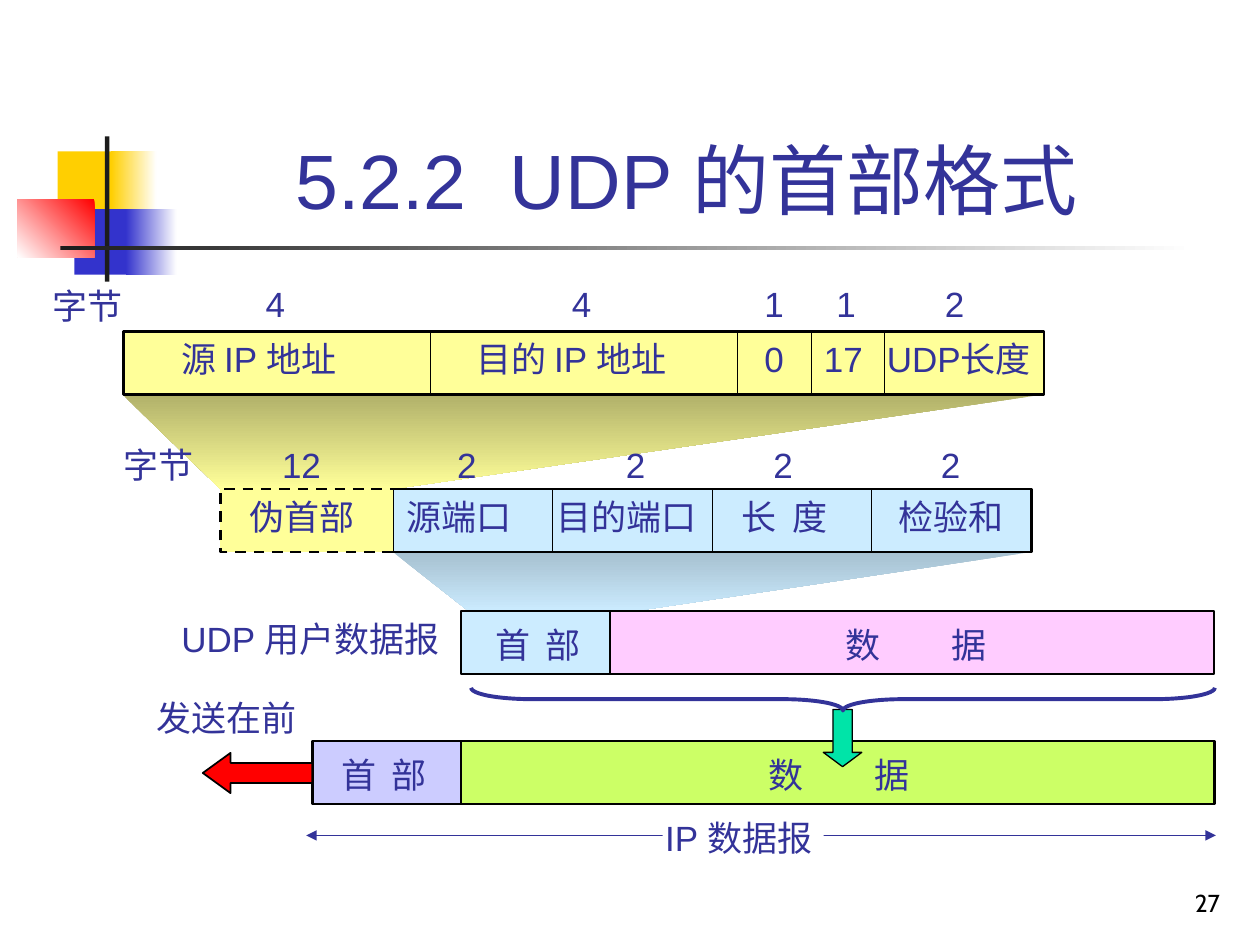
from dataclasses import dataclass
from typing import Optional

from lxml import etree
from pptx import Presentation
from pptx.dml.color import RGBColor
from pptx.enum.dml import MSO_LINE
from pptx.enum.shapes import MSO_CONNECTOR, MSO_SHAPE
from pptx.enum.text import MSO_ANCHOR, MSO_AUTO_SIZE, PP_ALIGN
from pptx.oxml.ns import qn
from pptx.util import Pt

RECT = MSO_SHAPE.RECTANGLE
LEFT_ARROW, DOWN_ARROW = MSO_SHAPE.LEFT_ARROW, MSO_SHAPE.DOWN_ARROW
BRACE = MSO_SHAPE.LEFT_BRACE
STRAIGHT = MSO_CONNECTOR.STRAIGHT
DASH = MSO_LINE.DASH
TOP, BOTTOM = MSO_ANCHOR.TOP, MSO_ANCHOR.BOTTOM
LEFT, CENTER, RIGHT = PP_ALIGN.LEFT, PP_ALIGN.CENTER, PP_ALIGN.RIGHT
FIXED = MSO_AUTO_SIZE.NONE

WHITE = RGBColor(0xFF, 0xFF, 0xFF)
BLACK = RGBColor(0x00, 0x00, 0x00)
COAL = RGBColor(0x1C, 0x1C, 0x1C)
NAVY = RGBColor(0x33, 0x33, 0x99)
BLUE = RGBColor(0x33, 0x33, 0xCC)
GOLD = RGBColor(0xFF, 0xCF, 0x01)
RED = RGBColor(0xFF, 0x00, 0x00)
YELLOW = RGBColor(0xFF, 0xFF, 0x99)
OLIVE = RGBColor(0xB1, 0xB1, 0x6A)
SKY = RGBColor(0xCC, 0xEC, 0xFF)
STEEL = RGBColor(0xA6, 0xC0, 0xD0)
LILAC = RGBColor(0xCC, 0xCC, 0xFF)
PINK = RGBColor(0xFF, 0xCC, 0xFF)
LIME = RGBColor(0xCC, 0xFF, 0x66)
GREEN = RGBColor(0x00, 0xE4, 0xA8)

ROW = 36
TEXT = 31.7
SLACK = 4
PSEUDO, UDP, GRAM, IP = 189.4, 279.4, 349.2, 423.4
WORD, WIDE = 4.5, 36


@dataclass(frozen=True)
class Box:
    x: float
    y: float
    w: float
    h: float
    fill: Optional[RGBColor] = None
    fade: Optional[RGBColor] = None
    angle: float = 0
    line: Optional[RGBColor] = None
    width: float = 1
    kind: int = RECT
    adjust: tuple = ()
    turn: float = 0


@dataclass(frozen=True)
class Label:
    text: str
    x: float
    w: float
    gap: float = 0


def paint(shape, fill, fade=None, angle=0, line=None, width=1) -> None:
    shape.shadow.inherit = False
    if fill is None:
        shape.fill.background()
    elif fade is None:
        shape.fill.solid()
        shape.fill.fore_color.rgb = fill
    else:
        shape.fill.gradient()
        shape.fill.gradient_angle = angle
        for stop, color in zip(shape.fill.gradient_stops, (fill, fade)):
            stop.color.rgb = color
    if line is None:
        shape.line.fill.background()
    else:
        shape.line.color.rgb = line
        shape.line.width = Pt(width)


def draw(slide, box: Box) -> None:
    shape = slide.shapes.add_shape(box.kind, Pt(box.x), Pt(box.y), Pt(box.w), Pt(box.h))
    for i, value in enumerate(box.adjust):
        shape.adjustments[i] = value
    shape.rotation = box.turn
    paint(shape, box.fill, box.fade, box.angle, box.line, box.width)


def trace(slide, points: list, close: bool = True):
    pen = slide.shapes.build_freeform(Pt(points[0][0]), Pt(points[0][1]))
    pen.add_line_segments([(Pt(x), Pt(y)) for x, y in points[1:]], close=close)
    return pen.convert_to_shape()


def rule(slide, x: float, y: float, end: float, base: float, color: RGBColor, heads: bool = False) -> None:
    line = slide.shapes.add_connector(STRAIGHT, Pt(x), Pt(y), Pt(end), Pt(base))
    line.line.color.rgb = color
    line.line.width = Pt(0.75)
    if heads:
        ln = line.line._get_or_add_ln()
        for tag in ("a:headEnd", "a:tailEnd"):
            etree.SubElement(ln, qn(tag), type="triangle")
    etree.SubElement(line._element.spPr, qn("a:effectLst"))


def write(slide, text: str, x: float, y: float, w: float, h: float = TEXT, *, size=20,
          font="Arial", color=NAVY, align=LEFT, anchor=TOP, gap=0) -> None:
    frame = slide.shapes.add_textbox(Pt(x), Pt(y), Pt(w), Pt(h)).text_frame
    frame.word_wrap = True
    frame.auto_size = FIXED
    frame.vertical_anchor = anchor
    para = frame.paragraphs[0]
    para.alignment = align
    first, space, rest = text.partition(" ") if gap else (text, "", "")
    for part in filter(None, (first, space, rest)):
        run = para.add_run()
        run.text = part
        run.font.size = Pt(size)
        run.font.name = font
        run.font.color.rgb = color
        if gap and part == space:
            run._r.get_or_add_rPr().set("spc", str(round(gap * 100)))


DECOR = [
    Box(33, 86.5, 34.5, 37.5, GOLD),
    Box(63.5, 86.5, 26, 37.5, GOLD, WHITE),
    Box(42.5, 119.5, 33, 37.5, BLUE),
    Box(72, 119.5, 29, 37.5, BLUE, WHITE),
    Box(10, 114, 44, 33, RED, WHITE, 225),
    Box(60, 78, 2.5, 83, COAL),
    Box(34.5, 140.5, 648, 2.5, COAL, WHITE),
]
BARS = [
    Box(178.5, IP, 85, ROW, LILAC, line=BLACK, width=1.5),
    Box(263.5, GRAM, 85, ROW, SKY, line=BLACK),
    Box(115.9, 430.2, 62.6, 23, RED, line=BLACK, kind=LEFT_ARROW, adjust=(0.5, 0.69)),
    Box(224.6, UDP, 364.8, ROW, SKY, line=BLACK, width=1.5),
    Box(263.5, IP, 430.5, ROW, LIME, line=BLACK, width=1.5),
    Box(70.5, PSEUDO, 526.2, ROW, YELLOW, line=BLACK, width=1.5),
    Box(470.5, 405.4, 22, 32.7, GREEN, line=BLACK, width=0.75, kind=DOWN_ARROW, adjust=(0.5, 0.37)),
    Box(348.5, GRAM, 345.5, ROW, PINK, line=BLACK),
    Box(475.2, 187, 13, 425, line=NAVY, width=2.25, kind=BRACE, adjust=(2.65, 0.5), turn=270),
]
FUNNELS = [
    ([(224.6, 315.4), (589.4, 315.4), (358, 349.9), (267.8, 349.2)], STEEL, SKY),
    ([(70, 225.4), (596.4, 225.4), (224.6, 279.4), (126, 279.4)], OLIVE, YELLOW),
]
CUTS = {
    PSEUDO: [246, 421.5, 463.6, 505.4],
    UDP: [224.6 + 91.2 * i for i in range(1, 4)],
}
LABELS = {
    157.7: [Label("4", 144.7, 25.2), Label("4", 319.7, 25.2), Label("1", 429.8, 25.2),
            Label("1", 470.9, 25.2), Label("2", 532.8, 25.2)],
    159.1: [Label("字节", 23, 54)],
    PSEUDO: [Label("源 IP 地址", 96.5, 113), Label("目的 IP 地址", 265, 133.2), Label("0", 429.8, 25.2),
             Label("17", 463.7, 36.7), Label("UDP长度", 499.7, 101.5)],
    249.8: [Label("字节", 63.4, 54), Label("12", 154.1, 36.7), Label("2", 254.2, 25.2),
            Label("2", 350.6, 25.2), Label("2", 434.9, 25.2), Label("2", 530.6, 25.2)],
    UDP: [Label("伪首部", 135.4, 74.2), Label("源端口", 225.4, 74.2), Label("目的端口", 311, 94.3),
          Label("长 度", 416.9, 63.4, WORD), Label("检验和", 506.2, 74.2)],
    GRAM: [Label("UDP 用户数据报", 96.5, 167)],
    352.8: [Label("首 部", 275.8, 63.4, WORD), Label("数 据", 475.9, 95, WIDE)],
    394.6: [Label("发送在前", 82.1, 94.3)],
    427: [Label("首 部", 187.9, 63.4, WORD), Label("数 据", 432, 95, WIDE)],
    463: [Label("IP 数据报", 373, 103.7)],
}


def main() -> None:
    deck = Presentation()
    deck.slide_width, deck.slide_height = Pt(720), Pt(540)
    slide = deck.slides.add_slide(deck.slide_layouts[6])
    for box in DECOR:
        draw(slide, box)
    for points, dark, light in FUNNELS:
        paint(trace(slide, points), dark, light, 270)
    for box in BARS:
        draw(slide, box)
    ghost = trace(slide, [(224.6, 315.4), (126, 315.4), (126, 279.4), (224.6, 279.4)], False)
    paint(ghost, YELLOW, line=BLACK, width=1.5)
    ghost.line.dash_style = DASH
    for y, cuts in CUTS.items():
        for x in cuts:
            rule(slide, x, y, x, y + ROW, BLACK)
    rule(slide, 175, 477.4, 694.8, 477.4, NAVY, heads=True)
    draw(slide, Box(378.7, 465, 92, 23, WHITE))
    for y, labels in LABELS.items():
        for item in labels:
            write(slide, item.text, item.x, y, item.w + SLACK, gap=item.gap)
    write(slide, "5.2.2 UDP 的首部格式 ", 90.7, 16.6, 613.4, 115.2, size=44,
          align=CENTER, anchor=BOTTOM, gap=12.2)
    write(slide, "27", 554.4, 491.8, 149.8, 36, size=14, font="Cabin", color=BLACK,
          align=RIGHT, anchor=BOTTOM)
    deck.save("out.pptx")


if __name__ == "__main__":
    main()
